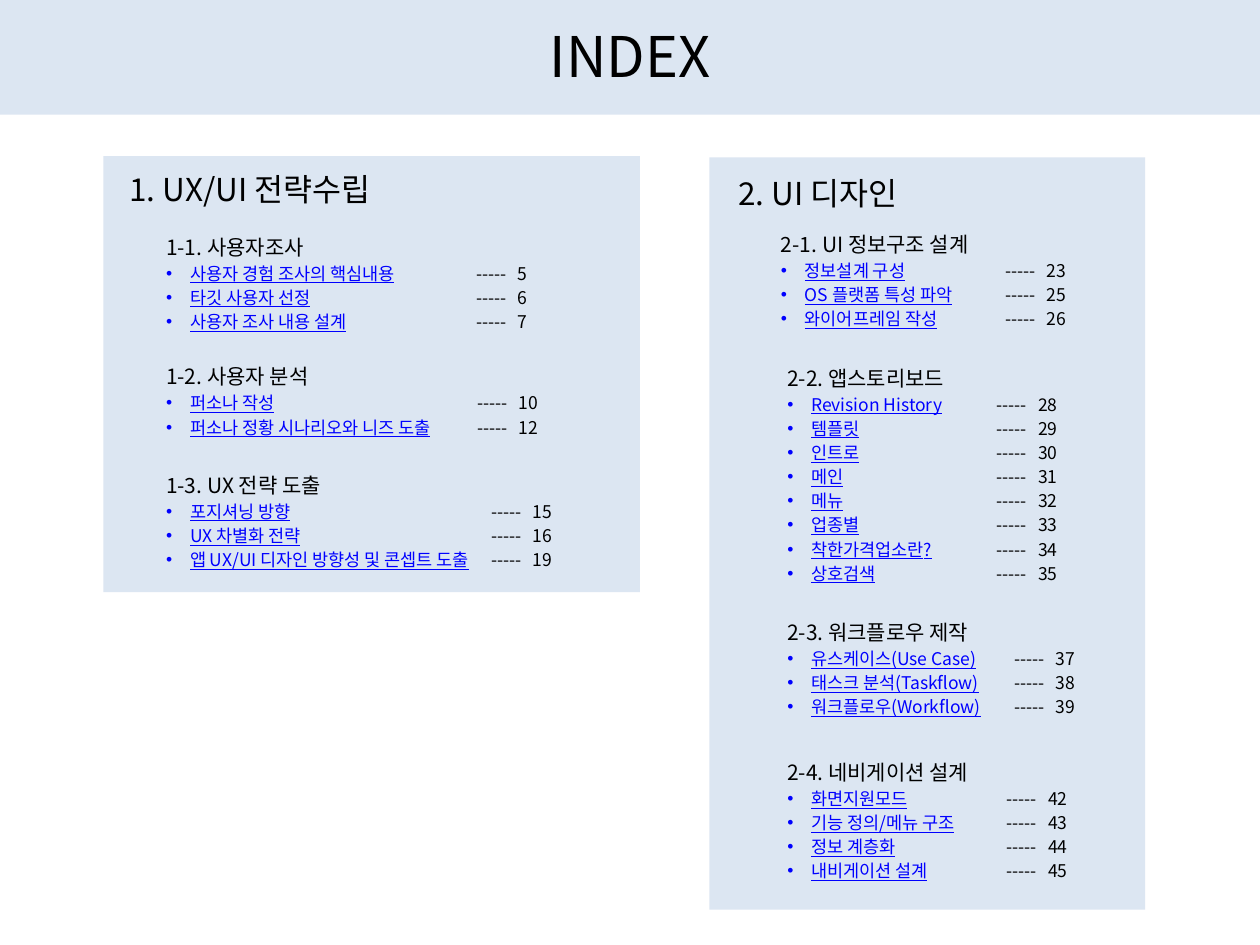
from lxml.etree import SubElement
from pptx import Presentation
from pptx.dml.color import RGBColor
from pptx.enum.shapes import MSO_SHAPE
from pptx.enum.text import PP_ALIGN
from pptx.oxml.ns import qn
from pptx.util import Inches, Pt

FONT = "Noto Sans CJK KR"
COLORS = {"panel": "DCE6F2", "text": "000000", "link": "0000FF"}
SLIDE_W, SLIDE_H = 10, 7.5
BULLET_INDENT = 0.19
PAGE_GAP = 0.33  # from the dashes to the page number
LEADER = "-----"

BANDS = [(0, 0, SLIDE_W, 0.91), (5.63, 1.25, 3.46, 5.97), (0.82, 1.24, 4.26, 3.46)]

TITLES = [
    ("INDEX", (0, 0.12, SLIDE_W, 0.64), dict(size=32, align=PP_ALIGN.CENTER)),
    ("1. UX/UI 전략수립", (0.93, 1.3, 3.5, 0.4), dict(size=18)),
    ("2. UI 디자인", (5.76, 1.29, 3, 0.45), dict(size=18, spacing=1.15)),
]

# heading, (left, top, width), offset of the dashes, [(topic, page)]
SECTIONS = [
    ("1-1. 사용자조사", (1.22, 1.78, 3.74), 2.46, [
        ("사용자 경험 조사의 핵심내용", 5),
        ("타깃 사용자 선정", 6),
        ("사용자 조사 내용 설계", 7)]),
    ("1-2. 사용자 분석", (1.22, 2.81, 3.74), 2.47, [
        ("퍼소나 작성", 10),
        ("퍼소나 정황 시나리오와 니즈 도출", 12)]),
    ("1-3. UX 전략 도출", (1.22, 3.67, 3.74), 2.58, [
        ("포지셔닝 방향", 15),
        ("UX 차별화 전략", 16),
        ("앱 UX/UI 디자인 방향성 및 콘셉트 도출", 19)]),
    ("2-1. UI 정보구조 설계", (6.1, 1.76, 2.8), 1.78, [
        ("정보설계 구성", 23),
        ("OS 플랫폼 특성 파악", 25),
        ("와이어프레임 작성", 26)]),
    ("2-2. 앱스토리보드", (6.15, 2.82, 2.75), 1.66, [
        ("Revision History", 28),
        ("템플릿", 29),
        ("인트로", 30),
        ("메인", 31),
        ("메뉴", 32),
        ("업종별", 33),
        ("착한가격업소란?", 34),
        ("상호검색", 35)]),
    ("2-3. 워크플로우 제작", (6.15, 4.84, 2.75), 1.8, [
        ("유스케이스(Use Case)", 37),
        ("태스크 분석(Taskflow)", 38),
        ("워크플로우(Workflow)", 39)]),
    ("2-4. 네비게이션 설계", (6.15, 5.95, 2.75), 1.74, [
        ("화면지원모드", 42),
        ("기능 정의/메뉴 구조", 43),
        ("정보 계층화", 44),
        ("내비게이션 설계", 45)]),
]


def add_band(slide, area):
    band = slide.shapes.add_shape(MSO_SHAPE.RECTANGLE, *map(Inches, area))
    band.shadow.inherit = False
    band.fill.solid()
    band.fill.fore_color.rgb = RGBColor.from_string(COLORS["panel"])
    band.line.fill.background()


def add_frame(slide, area):
    frame = slide.shapes.add_textbox(*map(Inches, area)).text_frame
    frame.word_wrap = True
    return frame


def write(paragraph, text, size=10, color="text", underline=None,
          align=None, spacing=None):
    """Append a run, setting paragraph format only where it is given."""
    if align is not None:
        paragraph.alignment = align
    if spacing is not None:
        paragraph.line_spacing = spacing
    run = paragraph.add_run()
    run.text = text
    run.font.name = FONT
    run.font.size = Pt(size)
    run.font.underline = underline
    run.font.color.rgb = RGBColor.from_string(COLORS[color])
    SubElement(run.font._element, qn("a:ea"), typeface=FONT)


def add_bullet_and_tabs(paragraph, stops):
    props = paragraph._p.get_or_add_pPr()
    props.set("marL", str(Inches(BULLET_INDENT)))
    props.set("indent", str(-Inches(BULLET_INDENT)))
    SubElement(props, qn("a:buFont"), typeface="Arial")
    SubElement(props, qn("a:buChar"), char="•")
    tabs = SubElement(props, qn("a:tabLst"))
    for stop in stops:
        SubElement(tabs, qn("a:tab"), pos=str(Inches(stop)), algn="l")


def add_section(slide, heading, place, leader_at, topics):
    height = 0.34 + 0.19 * len(topics)
    frame = add_frame(slide, (*place, height))
    write(frame.paragraphs[0], heading, size=12, spacing=1.15)
    for topic, page in topics:
        entry = frame.add_paragraph()
        add_bullet_and_tabs(entry, (leader_at, leader_at + PAGE_GAP))
        write(entry, topic, color="link", underline=True, spacing=1.15)
        write(entry, f"\t{LEADER}\t{page}")


def main():
    prs = Presentation()
    prs.slide_width, prs.slide_height = Inches(SLIDE_W), Inches(SLIDE_H)
    slide = prs.slides.add_slide(prs.slide_layouts[6])
    for area in BANDS:
        add_band(slide, area)
    for title, area, style in TITLES:
        write(add_frame(slide, area).paragraphs[0], title, **style)
    for section in SECTIONS:
        add_section(slide, *section)
    prs.save("out.pptx")


if __name__ == "__main__":
    main()
